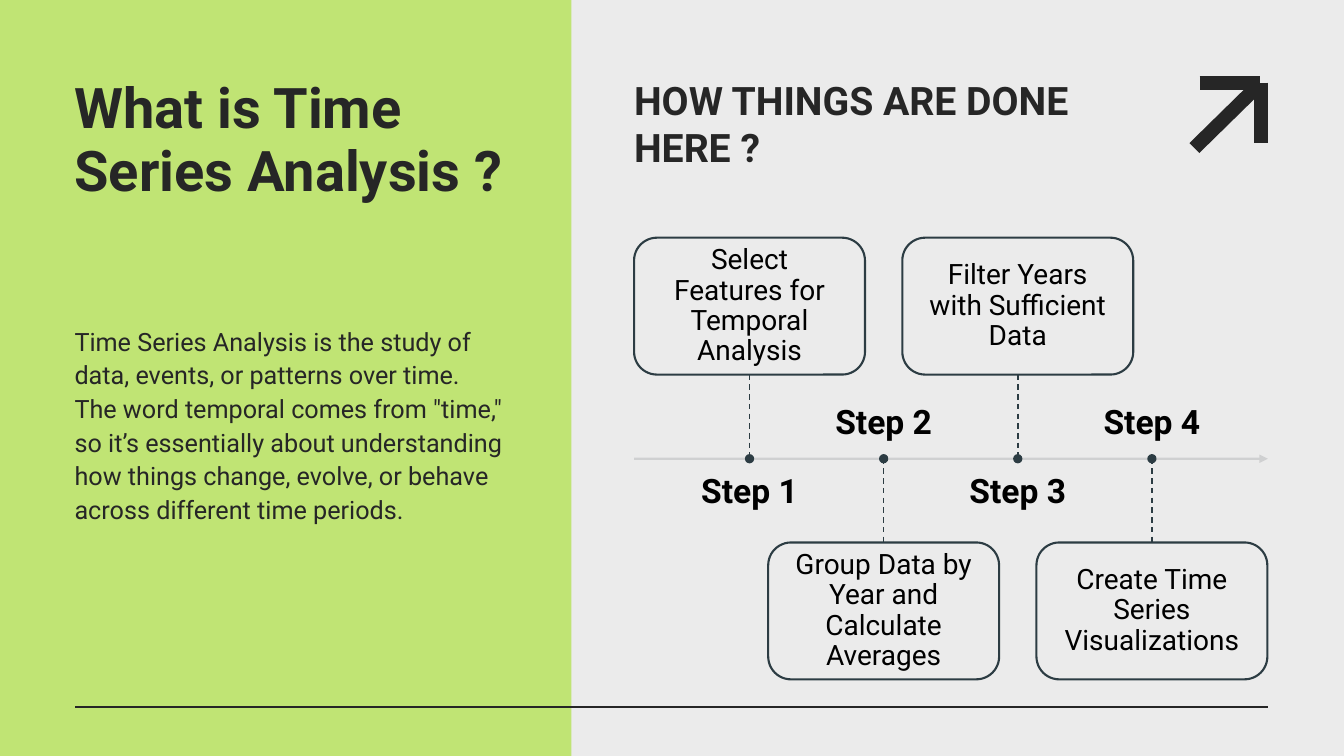
from dataclasses import dataclass

from lxml import etree
from pptx import Presentation
from pptx import util as u
from pptx.dml.color import RGBColor
from pptx.enum import dml, shapes, text
from pptx.oxml import ns


@dataclass(frozen=True)
class Theme:
    font: str = "Roboto"
    paper: str = "EBEBEB"
    panel: str = "C0E474"
    ink: str = "262626"
    black: str = "000000"
    outline: str = "2C3C43"
    axis: str = "CDCECF"
    title: int = 40
    subtitle: int = 28
    label: int = 24
    card: int = 20
    body: int = 18


THEME = Theme()

# Timeline measures in cm
LEFT, RIGHT = 15.98, 31.95
AXIS_Y = 11.56
CARD_W, CARD_H = 5.82, 3.45
CARD_TOPS = (5.99, 13.67)
LABEL_W, LABEL_H = 5.13, 1.24
LABEL_TOPS = (11.96, 9.88)
PITCH = 3.38
DOT = 0.18

STEPS = (
    "Select Features for Temporal Analysis",
    "Group Data by Year and Calculate Averages",
    "Filter Years with Sufficient Data",
    "Create Time Series Visualizations",
)


def lengths(*values):
    return [u.Cm(value) for value in values]


def set_alpha(color_parent, percent):
    color = color_parent.find(".//" + ns.qn("a:srgbClr"))
    etree.SubElement(color, ns.qn("a:alpha"), val=str(percent * 1000))


def write(box, words, size, color, bold=False, align=text.PP_ALIGN.LEFT,
          anchor=text.MSO_ANCHOR.TOP, spacing=1.0, inset=0):
    frame = box.text_frame
    frame.word_wrap = True
    frame.auto_size = text.MSO_AUTO_SIZE.NONE
    frame.vertical_anchor = anchor
    frame.margin_left = frame.margin_right = u.Cm(inset)
    frame.margin_top = frame.margin_bottom = u.Cm(inset)
    para = frame.paragraphs[0]
    para.alignment = align
    para.line_spacing = spacing
    span = para.add_run()
    span.text = words
    span.font.name = THEME.font
    span.font.size = u.Pt(size)
    span.font.bold = bold
    span.font.color.rgb = RGBColor.from_string(color)


def add_text(page, place, words, size, color, **style):
    box = page.shapes.add_textbox(*lengths(*place))
    write(box, words, size, color, **style)


def add_block(page, kind, place, fill, line=None):
    block = page.shapes.add_shape(kind, *lengths(*place))
    block.shadow.inherit = False
    block.fill.solid()
    block.fill.fore_color.rgb = RGBColor.from_string(fill)
    if line:
        block.line.color.rgb = RGBColor.from_string(line)
        block.line.width = u.Pt(1.5)
    else:
        block.line.fill.background()
    return block


def add_line(page, start, end, color, width, dashed=False):
    line = page.shapes.add_connector(
        shapes.MSO_CONNECTOR.STRAIGHT, *lengths(*start, *end))
    line.line.color.rgb = RGBColor.from_string(color)
    line.line.width = u.Pt(width)
    if dashed:
        line.line.dash_style = dml.MSO_LINE.DASH
    etree.SubElement(line.element.spPr, ns.qn("a:effectLst"))
    return line


def add_corner_arrow(page):
    strokes = (
        ((30.23, 2.08), (31.75, 2.08)),
        ((31.78, 2.08), (31.78, 3.61)),
        ((30.1, 3.73), (31.6, 2.26)),
    )
    for start, end in strokes:
        add_line(page, start, end, THEME.ink, 10)


def add_axis(page):
    axis = add_line(page, (LEFT, AXIS_Y), (RIGHT, AXIS_Y), THEME.axis, 1.5)
    outline = axis.line._get_or_add_ln()
    set_alpha(outline, 90)
    etree.SubElement(outline, ns.qn("a:tailEnd"), type="triangle")


def add_step(page, index, words):
    below = index % 2
    left = LEFT + index * PITCH
    middle = left + CARD_W / 2
    top = CARD_TOPS[below]

    # Card
    card = add_block(page, shapes.MSO_SHAPE.ROUNDED_RECTANGLE,
                     (left, top, CARD_W, CARD_H), THEME.paper, THEME.outline)
    set_alpha(card.element.spPr.find(ns.qn("a:solidFill")), 90)
    write(card, words, THEME.card, THEME.black, align=text.PP_ALIGN.CENTER,
          anchor=text.MSO_ANCHOR.MIDDLE, spacing=0.9, inset=0.48)

    # Link and dot on the axis
    edge = top if below else top + CARD_H
    first, last = sorted((edge, AXIS_Y))
    add_line(page, (middle, first), (middle, last), THEME.outline, 1, dashed=True)
    add_block(page, shapes.MSO_SHAPE.OVAL,
              (middle - DOT / 2, AXIS_Y - DOT / 2, DOT, DOT),
              THEME.outline, THEME.outline)

    # Label on the other side of the axis
    add_text(page, (middle - LABEL_W / 2, LABEL_TOPS[below], LABEL_W, LABEL_H),
             f"Step {index + 1}", THEME.label, THEME.black, bold=True,
             align=text.PP_ALIGN.CENTER, spacing=0.9,
             anchor=text.MSO_ANCHOR.BOTTOM if below else text.MSO_ANCHOR.TOP)


def add_title(page, words):
    title = page.shapes.title
    title.left, title.top, title.width, title.height = lengths(1.88, 1.93, 10.92, 7.67)
    write(title, words, THEME.title, THEME.ink, bold=True, spacing=u.Pt(45))
    return title


def main():
    deck = Presentation()
    deck.slide_width, deck.slide_height = lengths(33.87, 19.05)
    page = deck.slides.add_slide(deck.slide_layouts.get_by_name("Title Only"))
    page.background.fill.solid()
    page.background.fill.fore_color.rgb = RGBColor.from_string(THEME.paper)

    # Title on the green panel
    title = add_title(page, "What is Time Series Analysis ?")
    panel = add_block(page, shapes.MSO_SHAPE.RECTANGLE, (0, 0, 14.4, 19.05), THEME.panel)
    title.element.addprevious(panel.element)

    # Decoration
    add_corner_arrow(page)
    add_line(page, (1.9, 17.81), (RIGHT, 17.81), THEME.ink, 1.5)

    # Text
    add_text(page, (LEFT, 1.93, 13.36, 3.35), "HOW THINGS ARE DONE HERE ?",
             THEME.subtitle, THEME.ink, bold=True)
    add_text(page, (1.88, 8.13, 10.92, 9.02),
             "Time Series Analysis is the study of data, events, or patterns over "
             "time. The word temporal comes from \"time,\" so it’s essentially about "
             "understanding how things change, evolve, or behave across different "
             "time periods.", THEME.body, THEME.ink, spacing=u.Pt(24))

    # Timeline
    add_axis(page)
    for index, words in enumerate(STEPS):
        add_step(page, index, words)

    deck.save("out.pptx")


if __name__ == "__main__":
    main()
